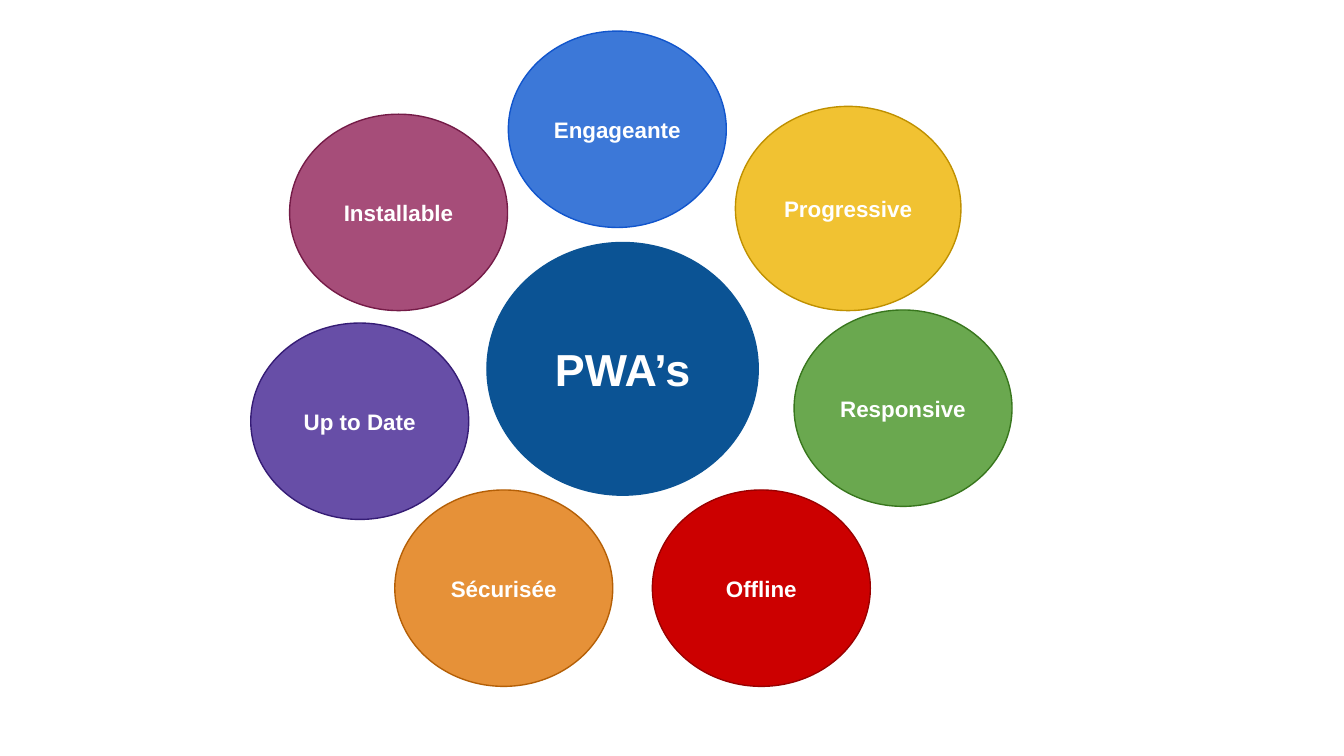
from pptx import Presentation
from pptx.dml.color import RGBColor as RGB
from pptx.enum.shapes import MSO_SHAPE as SHAPE
from pptx.enum.text import MSO_ANCHOR as ANCHOR, PP_ALIGN as ALIGN
from pptx.util import Inches, Pt

FONT = "Arial"
# Fill and outline of each disc
COLORS = {
    "text": "FFFFFF",
    "hub": ("0B5394", "0B5394"),
    "yellow": ("F1C232", "BF9000"),
    "green": ("6AA84F", "38761D"),
    "red": ("CC0000", "990000"),
    "orange": ("E69138", "B45F06"),
    "violet": ("674EA7", "351C75"),
    "plum": ("A64D79", "741B47"),
    "blue": ("3C78D8", "1155CC"),
}

# Sizes and centres are percentages of the wheel's box
HUB_SIZE = (35.6, 38.6)
PETAL_SIZE = (28.6, 30)
LARGE_PETAL_SIZE = (29.6, 31.2)
HUB_CENTER = (48.9, 51.5)
PETALS = [
    ("Progressive", "yellow", (78.5, 27), LARGE_PETAL_SIZE),
    ("Responsive", "green", (85.7, 57.5), PETAL_SIZE),
    ("Offline", "red", (67.1, 85), PETAL_SIZE),
    ("Sécurisée", "orange", (33.3, 85), PETAL_SIZE),
    ("Up to Date", "violet", (14.4, 59.5), PETAL_SIZE),
    ("Installable", "plum", (19.5, 27.6), PETAL_SIZE),
    ("Engageante", "blue", (48.2, 14.9), PETAL_SIZE),
]


def sub_box(box, left, top, width, height):
    """Return the part of a box given by percentages of its size."""
    x, y, w, h = box
    return (int(x + w * left / 100), int(y + h * top / 100),
            int(w * width / 100), int(h * height / 100))


def add_disc(slide, box, label, color, center, size, font_size):
    """Draw a labelled ellipse around a centre within the box."""
    left, top = (c - s / 2 for c, s in zip(center, size))
    sp = slide.shapes.add_shape(SHAPE.OVAL, *sub_box(box, left, top, *size))
    sp.shadow.inherit = False
    fill, line = COLORS[color]
    sp.fill.solid()
    sp.fill.fore_color.rgb = RGB.from_string(fill)
    sp.line.color.rgb = RGB.from_string(line)
    sp.line.width = Pt(0.75)

    # Centred label
    tf = sp.text_frame
    tf.word_wrap = True
    tf.vertical_anchor = ANCHOR.MIDDLE
    tf.margin_left = tf.margin_right = Inches(0.1)
    tf.margin_top = tf.margin_bottom = Inches(0.1)
    p = tf.paragraphs[0]
    p.alignment = ALIGN.CENTER
    r = p.add_run()
    r.text = label
    r.font.name = FONT
    r.font.size = Pt(font_size)
    r.font.bold = True
    r.font.color.rgb = RGB.from_string(COLORS["text"])


def add_wheel(slide, box):
    """Draw the hub and its ring of petals."""
    add_disc(slide, box, "PWA’s", "hub", HUB_CENTER, HUB_SIZE, 24)
    for label, color, center, size in PETALS:
        add_disc(slide, box, label, color, center, size, 12)


def main():
    prs = Presentation()
    # Widescreen page, 16:9
    prs.slide_width = Inches(10)
    prs.slide_height = prs.slide_width * 9 // 16
    slide = prs.slides.add_slide(prs.slide_layouts[6])
    page = (0, 0, prs.slide_width, prs.slide_height)
    add_wheel(slide, sub_box(page, 18.6, 4.2, 56.7, 86.6))
    prs.save("out.pptx")


if __name__ == "__main__":
    main()
